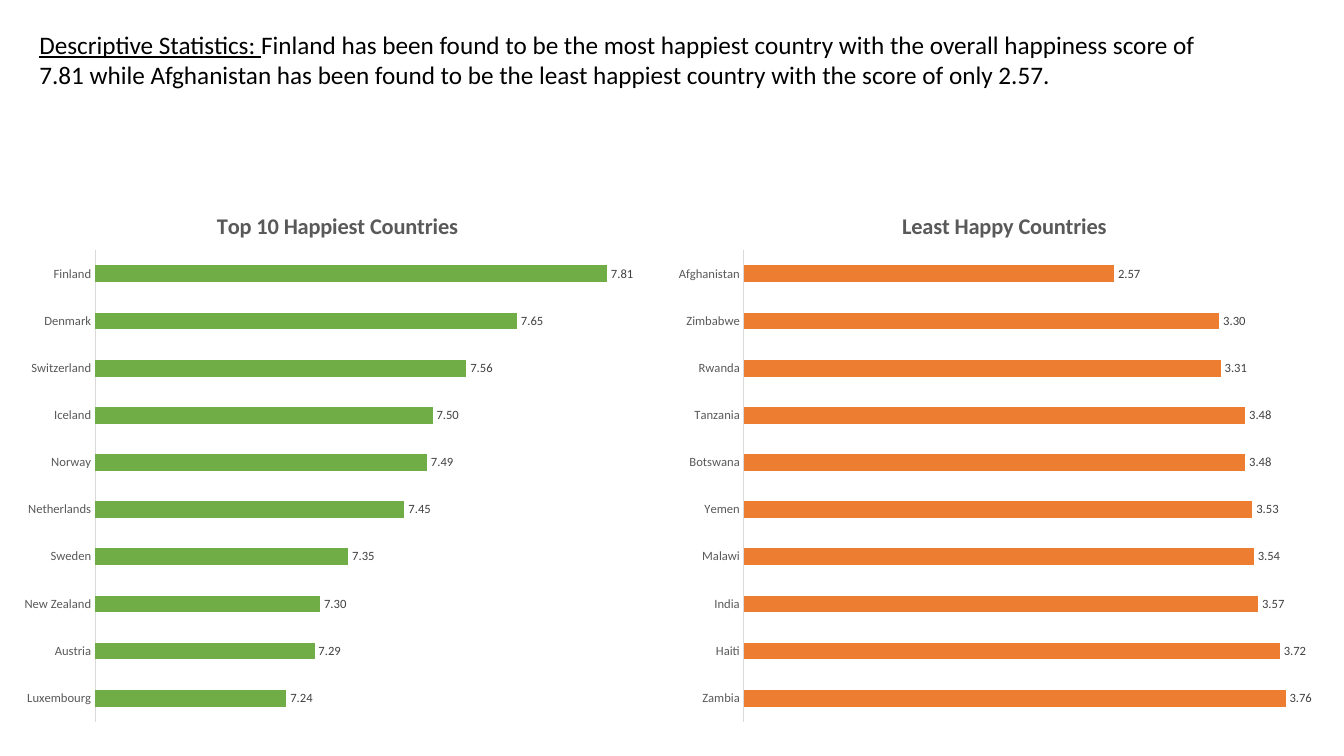
"""Build a slide comparing the happiest and least happy countries."""
from lxml import etree
from pptx import Presentation
from pptx.chart.data import CategoryChartData
from pptx.dml.color import RGBColor
from pptx.enum.chart import XL_CHART_TYPE as ChartType, XL_LABEL_POSITION as LabelPosition
from pptx.enum.chart import XL_TICK_MARK as TickMark
from pptx.enum.text import MSO_ANCHOR as Anchor, MSO_AUTO_SIZE as AutoSize, PP_ALIGN as Align
from pptx.oxml.ns import qn
from pptx.util import Pt

FONT = "Calibri"
BLACK = RGBColor(0x00, 0x00, 0x00)
GRAY = RGBColor(0x59, 0x59, 0x59)
DARK_GRAY = RGBColor(0x40, 0x40, 0x40)
LIGHT_GRAY = RGBColor(0xD9, 0xD9, 0xD9)
GREEN = RGBColor(0x70, 0xAD, 0x47)
ORANGE = RGBColor(0xED, 0x7D, 0x31)

HEADING = [
    ("Descriptive Statistics: ", True),
    ("Finland has been found to be the most happiest country with the overall happiness score of "
     "7.81 while Afghanistan has been found to be the least happiest country with the score of "
     "only 2.57.", False),
]
CHART_TOP, CHART_HEIGHT = 131.8, 391.7
PLOT_TOP, PLOT_HEIGHT, TITLE_TOP = 0.12, 0.86, 0.04
CHARTS = [
    dict(title="Top 10 Happiest Countries", color=GREEN, left=7.2, width=467.3,
         scale=(6.9, 7.9), top_down=True, title_left=0.31, plot_left=0.13, plot_width=0.86,
         scores=[("Finland", 7.81), ("Denmark", 7.65), ("Switzerland", 7.56), ("Iceland", 7.5),
                 ("Norway", 7.49), ("Netherlands", 7.45), ("Sweden", 7.35),
                 ("New Zealand", 7.3), ("Austria", 7.29), ("Luxembourg", 7.24)]),
    dict(title="Least Happy Countries", color=ORANGE, left=473.8, width=478.8,
         scale=(0, 4), top_down=False, title_left=0.35, plot_left=0.12, plot_width=0.86,
         scores=[("Zambia", 3.76), ("Haiti", 3.72), ("India", 3.57), ("Malawi", 3.54),
                 ("Yemen", 3.53), ("Botswana", 3.48), ("Tanzania", 3.48), ("Rwanda", 3.31),
                 ("Zimbabwe", 3.3), ("Afghanistan", 2.57)]),
]


def style(font, size, color, bold=False):
    font.name, font.size, font.bold = FONT, Pt(size), bold
    font.color.rgb = color


def set_layout(parent, index, **settings):
    for old in parent.findall(qn("c:layout")):
        parent.remove(old)
    layout = etree.Element(qn("c:layout"))
    manual = etree.SubElement(layout, qn("c:manualLayout"))
    for name, value in settings.items():
        etree.SubElement(manual, qn(f"c:{name}")).set("val", str(value))
    parent.insert(index, layout)


def add_heading(page):
    box = page.shapes.title
    box.left, box.top, box.width, box.height = Pt(20.9), Pt(17.3), Pt(850.3), Pt(51.1)
    frame = box.text_frame
    frame.word_wrap, frame.auto_size = True, AutoSize.NONE
    frame.vertical_anchor = Anchor.TOP
    para = frame.paragraphs[0]
    para.alignment, para.line_spacing = Align.LEFT, 1.0
    style(para.font, 18, BLACK)
    for text, underlined in HEADING:
        span = para.add_run()
        span.text, span.font.underline = text, underlined


def add_score_chart(page, title, color, left, width, scale, top_down, title_left,
                    plot_left, plot_width, scores):
    data = CategoryChartData(number_format="0.00")
    data.categories = [country for country, score in scores]
    data.add_series("Series 1", [score for country, score in scores])
    chart = page.shapes.add_chart(ChartType.BAR_CLUSTERED, Pt(left), Pt(CHART_TOP), Pt(width),
                                  Pt(CHART_HEIGHT), data).chart
    style(chart.font, 10, BLACK)
    chart.has_legend = False
    chart.has_title = True
    para = chart.chart_title.text_frame.paragraphs[0]
    para.text = title
    style(para.font, 16, GRAY, bold=True)
    chart.chart_title.include_in_layout = False
    set_layout(chart.chart_title._element, 1, xMode="edge", yMode="edge",
               x=title_left, y=TITLE_TOP)

    countries, values = chart.category_axis, chart.value_axis
    style(countries.tick_labels.font, 9, GRAY)
    countries.major_tick_mark = countries.minor_tick_mark = TickMark.NONE
    countries.format.line.color.rgb, countries.format.line.width = LIGHT_GRAY, Pt(0.75)
    countries.reverse_order = top_down
    values.minimum_scale, values.maximum_scale = scale
    values.has_major_gridlines, values.visible = False, False

    plot = chart.plots[0]
    plot.gap_width, plot.vary_by_categories = 182, False
    fill = plot.series[0].format.fill
    fill.solid()
    fill.fore_color.rgb = color
    plot.has_data_labels = True
    labels = plot.data_labels
    style(labels.font, 9, DARK_GRAY)
    labels.show_value, labels.position = True, LabelPosition.OUTSIDE_END
    labels.number_format, labels.number_format_is_linked = "0.00", False
    set_layout(plot._element.getparent(), 0, layoutTarget="inner", xMode="edge", yMode="edge",
               x=plot_left, y=PLOT_TOP, w=plot_width, h=PLOT_HEIGHT)


deck = Presentation()
deck.slide_width, deck.slide_height = Pt(960), Pt(540)
page = deck.slides.add_slide(deck.slide_layouts[5])
add_heading(page)
for chart_settings in CHARTS:
    add_score_chart(page, **chart_settings)
deck.save("out.pptx")
